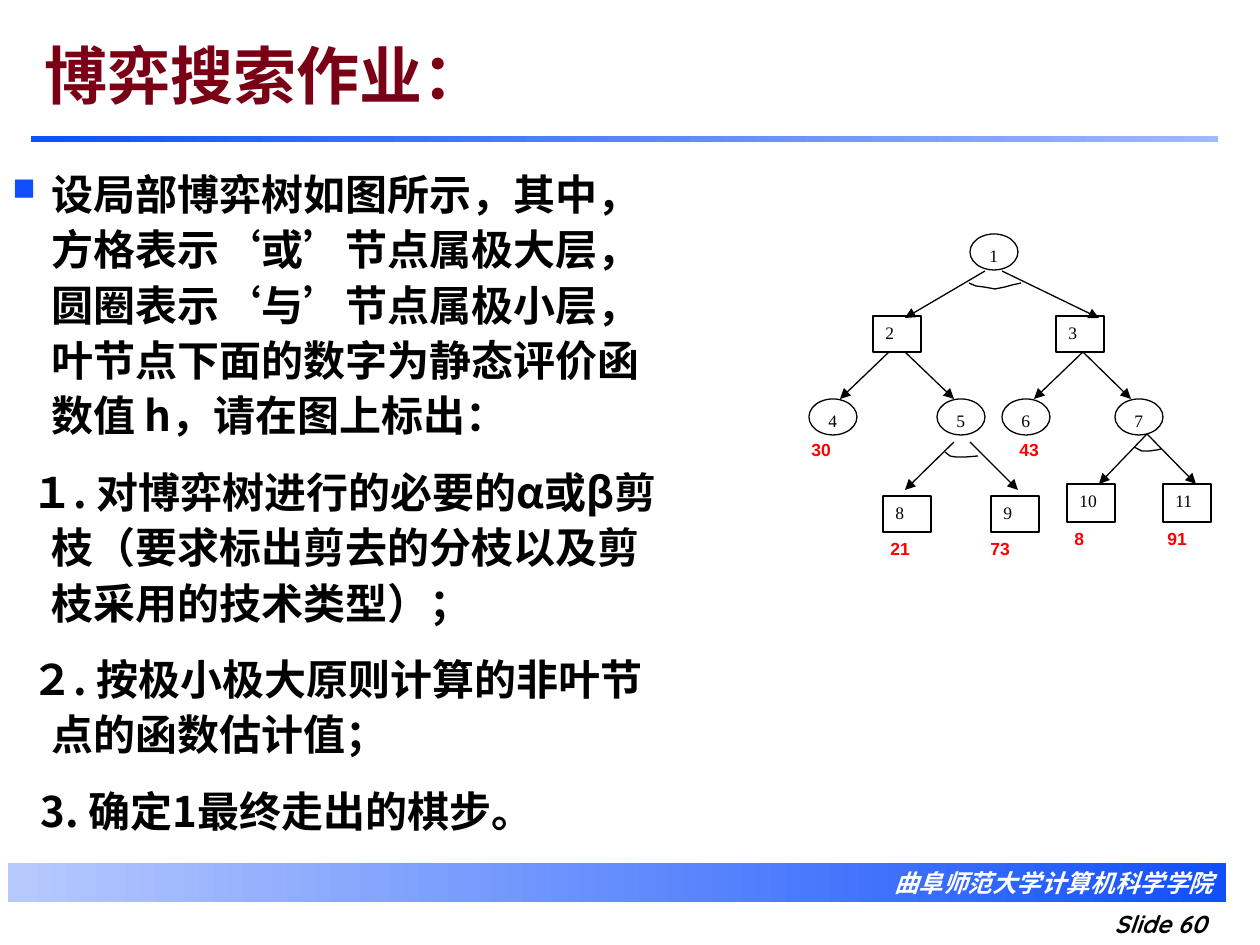
from lxml.etree import SubElement
from pptx import Presentation
from pptx.dml.color import RGBColor
from pptx.enum.shapes import MSO_CONNECTOR, MSO_SHAPE
from pptx.enum.text import MSO_ANCHOR, PP_ALIGN
from pptx.oxml.ns import qn
from pptx.util import Emu, Pt

BLACK, RED, BLUE, WHITE = "000000", "FF0000", "114FFB", "FFFFFF"
CJK = "Noto Sans CJK SC"
color = RGBColor.from_string


def px(value):
    return Emu(round(value * 914400 / 126))


def write(holder, text, size, font, ink, bold=True, italic=False,
          align=PP_ALIGN.LEFT, anchor=MSO_ANCHOR.TOP):
    frame = holder.text_frame
    frame.text = text
    frame.word_wrap = True
    frame.vertical_anchor = anchor
    for paragraph in frame.paragraphs:
        paragraph.alignment = align
        for run in paragraph.runs:
            run.font.size = Pt(size)
            run.font.bold = bold
            run.font.italic = italic
            run.font.color.rgb = color(ink)
            run.font.name = font
            SubElement(run.font._element, qn("a:ea"), typeface=CJK)
    return frame


deck = Presentation()
deck.slide_width, deck.slide_height = px(1260), px(945)
slide = deck.slides.add_slide(deck.slide_layouts[6])
shapes = slide.shapes

bands = []
for x, y, width, height, start, end in [
    (31, 136, 1187, 6, BLUE, "A0B9FD"),
    (8, 863, 1218, 39, "B7CAFE", BLUE),
]:
    band = shapes.add_shape(MSO_SHAPE.RECTANGLE, px(x), px(y), px(width), px(height))
    band.shadow.inherit = False
    band.line.fill.background()
    band.fill.gradient()
    band.fill.gradient_angle = 0
    for stop, position, tint in zip(band.fill.gradient_stops, (0, 1), (start, end)):
        stop.position = position
        stop.color.rgb = color(tint)
    bands.append(band)
write(bands[1], "曲阜师范大学计算机科学学院", 14, "Arial", WHITE, italic=True,
      align=PP_ALIGN.RIGHT, anchor=MSO_ANCHOR.MIDDLE)

slide_number = shapes.add_textbox(px(1061), px(903), px(199), px(42))
write(slide_number, "Slide 60", 14, "Quicksand", BLACK, italic=True, align=PP_ALIGN.CENTER)

title = shapes.add_textbox(px(32), px(32), px(976), px(94))
heading = write(title, "博弈搜索作业：", 36, CJK, "790015", anchor=MSO_ANCHOR.MIDDLE)
heading.paragraphs[0].line_spacing = 0.9

tasks = [
    ("设局部博弈树如图所示，其中，方格表示‘或’节点属极大层，圆圈表示‘与’节点属极小层，"
     "叶节点下面的数字为静态评价函数值 h，请在图上标出：", -39),
    ("１. 对博弈树进行的必要的α或β剪枝（要求标出剪去的分枝以及剪枝采用的技术类型）；", -20),
    ("２. 按极小极大原则计算的非叶节点的函数估计值；", -20),
    ("3. 确定1最终走出的棋步。", -11),
]
body = shapes.add_textbox(0, px(157), px(689), px(693))
assignment = write(body, "\n".join(text for text, _ in tasks), 24, CJK, BLACK)
for index, (paragraph, (_, indent)) in enumerate(zip(assignment.paragraphs, tasks)):
    paragraph.line_spacing = 1.1
    paragraph.space_before = Pt(6 if index else 0)
    paragraph.space_after = Pt(6)
    properties = paragraph._p.get_or_add_pPr()
    properties.set("marL", str(px(39)))
    properties.set("indent", str(px(indent)))
    if index == 0:
        bullet_color = SubElement(properties, qn("a:buClr"))
        SubElement(bullet_color, qn("a:srgbClr"), val=BLUE)
        SubElement(properties, qn("a:buSzPct"), val="75000")
        SubElement(properties, qn("a:buChar"), char="■")

circle, square = MSO_SHAPE.OVAL, MSO_SHAPE.RECTANGLE
nodes = [
    ("1", circle, 970, 234, 36), ("2", square, 873, 316, 36), ("3", square, 1056, 316, 36),
    ("4", circle, 809, 399, 36), ("5", circle, 937, 399, 36), ("6", circle, 1002, 399, 36),
    ("7", circle, 1115, 399, 36), ("8", square, 883, 496, 36), ("9", square, 991, 496, 36),
    ("10", square, 1067, 484, 38), ("11", square, 1163, 484, 38),
]
for label, outline, x, y, height in nodes:
    node = shapes.add_shape(outline, px(x), px(y), px(48), px(height))
    node.shadow.inherit = False
    node.fill.solid()
    node.fill.fore_color.rgb = color(WHITE)
    node.line.color.rgb = color(BLACK)
    node.line.width = Pt(0.75)
    write(node, label, 10, "Times New Roman", BLACK, bold=False)

branches = [
    (985, 271, 905, 318), (1002, 271, 1099, 318),
    (889, 352, 840, 399), (905, 352, 954, 399),
    (1083, 352, 1034, 399), (1083, 352, 1131, 399),
    (954, 442, 905, 490), (970, 442, 1018, 490),
    (1147, 434, 1099, 484), (1147, 434, 1196, 484),
]
for x1, y1, x2, y2 in branches:
    branch = shapes.add_connector(MSO_CONNECTOR.STRAIGHT, px(x1), px(y1), px(x2), px(y2))
    branch.line.color.rgb = color(BLACK)
    branch.line.width = Pt(0.75)
    SubElement(branch.line._get_or_add_ln(), qn("a:tailEnd"), type="triangle")
    SubElement(branch._element.spPr, qn("a:effectLst"))

and_arcs = [
    [(969, 283), (976, 286), (984, 287), (995, 289), (1005, 287), (1012, 285), (1021, 283)],
    [(945, 452), (950, 456), (956, 457), (965, 457), (978, 456)],
    [(1134, 447), (1138, 449), (1142, 451), (1149, 451), (1157, 450), (1161, 449)],
]
for points in and_arcs:
    start, *rest = [(px(x), px(y)) for x, y in points]
    outline = shapes.build_freeform(*start)
    outline.add_line_segments(rest, close=False)
    arc = outline.convert_to_shape()
    arc.shadow.inherit = False
    arc.fill.background()
    arc.line.color.rgb = color(BLACK)
    arc.line.width = Pt(0.75)

for value, x, y in [
    ("30", 799, 433), ("43", 1007, 433), ("21", 878, 532),
    ("73", 978, 532), ("8", 1062, 522), ("91", 1155, 522),
]:
    evaluation = shapes.add_textbox(px(x), px(y), px(69), px(34))
    write(evaluation, value, 10, "Arial", RED)

deck.save("out.pptx")
